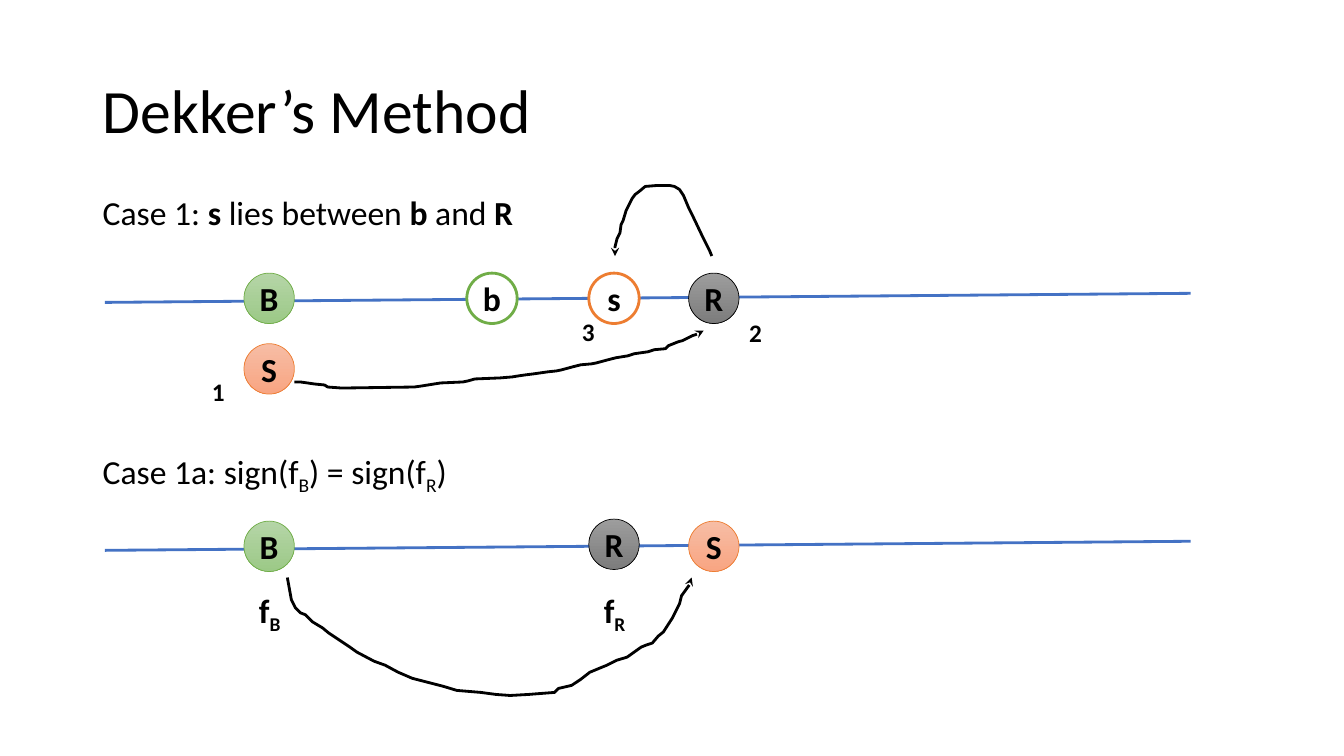
from lxml import etree
from pptx import Presentation
from pptx.dml.color import RGBColor
from pptx.enum.shapes import MSO_CONNECTOR, MSO_SHAPE
from pptx.enum.text import MSO_ANCHOR, PP_ALIGN
from pptx.oxml.ns import qn
from pptx.util import Inches, Pt


def color(value):
    return RGBColor.from_string(value)


def write(shape, runs, size, align=PP_ALIGN.LEFT, anchor=MSO_ANCHOR.TOP):
    """Fill a shape with (text, style) runs; style holds 'b' for bold, '_' for subscript."""
    frame = shape.text_frame
    frame.word_wrap = True
    frame.vertical_anchor = anchor
    paragraph = frame.paragraphs[0]
    paragraph.alignment = align
    for text, style in runs:
        run = paragraph.add_run()
        run.text = text
        run.font.name = "Calibri"
        run.font.size = Pt(size)
        run.font.bold = "b" in style
        run.font.color.rgb = color("000000")
        if "_" in style:
            run.font._element.set("baseline", "-25000")
    return paragraph


presentation = Presentation()
presentation.slide_width = Inches(13.33)
presentation.slide_height = Inches(7.5)
slide = presentation.slides.add_slide(presentation.slide_layouts[6])
shapes = slide.shapes

title = shapes.add_textbox(Inches(0.92), Inches(0.4), Inches(11.5), Inches(1.45))
write(title, [("Dekker’s Method", "")], 44, anchor=MSO_ANCHOR.MIDDLE).line_spacing = 0.9

# Number lines
for start_y in (3, 5.46):
    number_line = shapes.add_connector(MSO_CONNECTOR.STRAIGHT, Inches(1.04), Inches(start_y),
                                       Inches(11.81), Inches(start_y - 0.09))
    number_line.line.color.rgb = color("4472C4")
    number_line.line.width = Pt(2)
    etree.SubElement(number_line._element.spPr, qn("a:effectLst"))

# Points: label, left, top, fill (one colour, or two for a gradient), outline, outline width
GRAY = (("9D9D9D", "7C7C7C"), "000000", 0.5)
GREEN = (("B5D5A7", "9CC987"), "70AD47", 0.5)
ORANGE = (("F7BDA5", "F8A582"), "ED7D31", 0.5)
points = [
    ("R", 6.83, 2.71, *GRAY),
    ("B", 2.42, 2.71, *GREEN),
    ("S", 2.42, 3.41, *ORANGE),
    ("s", 5.84, 2.71, ("FFFFFF",), "ED7D31", 2),
    ("b", 4.63, 2.71, ("FFFFFF",), "70AD47", 2),
    ("R", 5.84, 5.15, *GRAY),
    ("B", 2.42, 5.17, *GREEN),
    ("S", 6.83, 5.17, *ORANGE),
]
for label, left, top, fills, outline, width in points:
    point = shapes.add_shape(MSO_SHAPE.OVAL, Inches(left), Inches(top), Inches(0.5), Inches(0.5))
    point.shadow.inherit = False
    if len(fills) == 1:
        point.fill.solid()
        point.fill.fore_color.rgb = color(fills[0])
    else:
        point.fill.gradient()
        point.fill.gradient_angle = 270
        for stop, fill in zip(point.fill.gradient_stops, fills):
            stop.color.rgb = color(fill)
    point.line.color.rgb = color(outline)
    point.line.width = Pt(width)
    frame = point.text_frame
    frame.margin_left = frame.margin_right = 0
    write(point, [(label, "b")], 24, PP_ALIGN.CENTER, MSO_ANCHOR.MIDDLE)

# Hand-drawn arrows showing which point replaces which
arrows = [
    [(7.06, 2.54), (7.04, 2.49), (6.96, 2.33), (6.87, 2.14), (6.83, 2.06), (6.78, 1.94),
     (6.74, 1.88), (6.69, 1.85), (6.64, 1.84), (6.52, 1.84), (6.4, 1.85), (6.34, 1.9),
     (6.3, 1.93), (6.27, 1.97), (6.21, 2.09), (6.18, 2.19), (6.16, 2.23), (6.15, 2.31),
     (6.12, 2.37), (6.1, 2.45), (6.1, 2.54)],
    [(2.92, 3.79), (2.98, 3.79), (3.05, 3.8), (3.12, 3.81), (3.22, 3.82), (3.25, 3.84),
     (3.39, 3.85), (4.11, 3.84), (4.18, 3.83), (4.37, 3.8), (4.59, 3.79), (4.64, 3.78),
     (4.71, 3.76), (4.96, 3.75), (5.08, 3.74), (5.14, 3.73), (5.21, 3.72), (5.29, 3.71),
     (5.43, 3.69), (5.52, 3.68), (5.57, 3.67), (5.68, 3.64), (5.76, 3.62), (5.87, 3.61),
     (5.92, 3.6), (6.03, 3.57), (6.11, 3.55), (6.23, 3.53), (6.29, 3.51), (6.43, 3.49),
     (6.49, 3.47), (6.6, 3.46), (6.63, 3.43), (6.73, 3.39), (6.77, 3.38), (6.83, 3.35),
     (6.87, 3.33), (6.93, 3.31), (6.95, 3.29), (6.98, 3.28)],
    [(2.85, 5.73), (2.87, 5.84), (2.89, 5.95), (2.93, 6.03), (2.98, 6.08), (3.03, 6.1),
     (3.1, 6.17), (3.2, 6.23), (3.26, 6.28), (3.41, 6.38), (3.47, 6.42), (3.54, 6.47),
     (3.71, 6.56), (3.82, 6.6), (3.95, 6.67), (4.09, 6.73), (4.4, 6.81), (4.53, 6.85),
     (4.77, 6.87), (4.92, 6.89), (5.06, 6.9), (5.24, 6.89), (5.5, 6.87), (5.54, 6.83),
     (5.67, 6.8), (5.76, 6.74), (5.85, 6.67), (5.97, 6.62), (6.02, 6.6), (6.12, 6.55),
     (6.22, 6.52), (6.36, 6.42), (6.41, 6.4), (6.47, 6.38), (6.53, 6.31), (6.58, 6.27),
     (6.67, 6.13), (6.74, 5.99), (6.76, 5.91), (6.84, 5.8), (6.86, 5.73)],
]
for stroke in arrows:
    start, *rest = [(Inches(x), Inches(y)) for x, y in stroke]
    builder = shapes.build_freeform(*start)
    builder.add_line_segments(rest, close=False)
    arrow = builder.convert_to_shape()
    arrow.shadow.inherit = False
    arrow.fill.background()
    arrow.line.color.rgb = color("000000")
    arrow.line.width = Pt(2)
    line = arrow.line._get_or_add_ln()
    etree.SubElement(line, qn("a:round"))
    etree.SubElement(line, qn("a:tailEnd"), type="stealth")

# Case headings, function values and step numbers
LEFT, CENTER = PP_ALIGN.LEFT, PP_ALIGN.CENTER
captions = [
    (0.92, 1.85, 4.37, 0.5, 24, LEFT, [("Case 1: ", ""), ("s", "b"), (" lies between ", ""),
                                       ("b", "b"), (" and ", ""), ("R", "b")]),
    (0.92, 4.42, 4.37, 0.5, 24, LEFT, [("Case 1a: sign(f", ""), ("B", "_"), (") = sign(f", ""),
                                       ("R", "_"), (")", "")]),
    (2.35, 5.8, 0.65, 0.5, 24, CENTER, [("f", "b"), ("B", "b_")]),
    (5.77, 5.8, 0.65, 0.5, 24, CENTER, [("f", "b"), ("R", "b_")]),
    (1.88, 3.68, 0.57, 0.4, 18, CENTER, [("1", "b")]),
    (7.21, 3.1, 0.57, 0.4, 18, CENTER, [("2", "b")]),
    (5.55, 3.09, 0.57, 0.4, 18, CENTER, [("3", "b")]),
]
for left, top, width, height, size, align, runs in captions:
    caption = shapes.add_textbox(Inches(left), Inches(top), Inches(width), Inches(height))
    write(caption, runs, size, align)

presentation.save("out.pptx")
